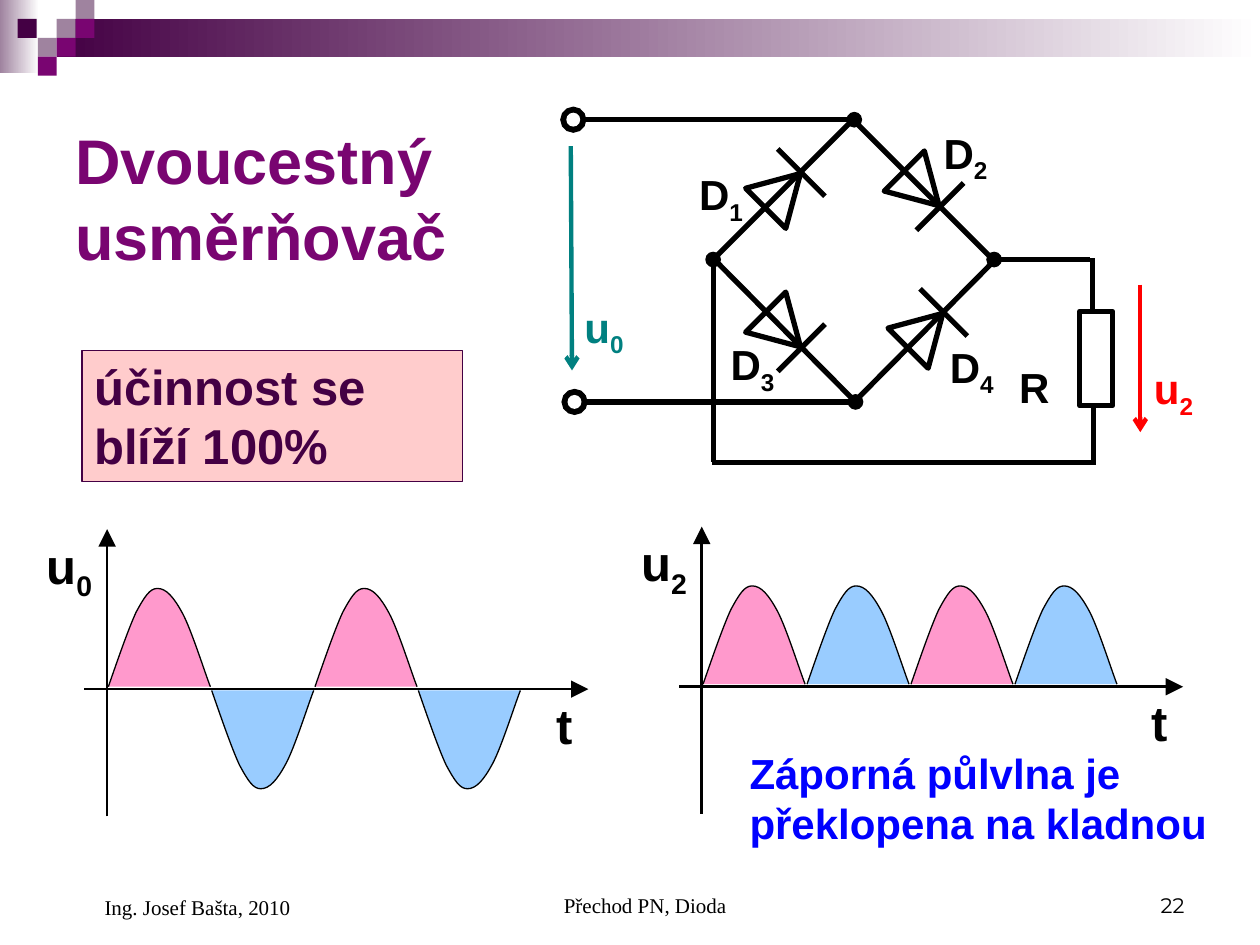
"""Build a slide that explains the full-wave bridge rectifier."""
from dataclasses import dataclass
from math import cos, radians, sin

from lxml import etree
from pptx import Presentation
from pptx.dml.color import RGBColor
from pptx.enum.shapes import MSO_CONNECTOR, MSO_SHAPE
from pptx.enum.text import MSO_ANCHOR, PP_ALIGN
from pptx.oxml.ns import qn
from pptx.util import Inches, Pt

STRAIGHT = MSO_CONNECTOR.STRAIGHT
RECTANGLE, OVAL, TRIANGLE = MSO_SHAPE.RECTANGLE, MSO_SHAPE.OVAL, MSO_SHAPE.ISOSCELES_TRIANGLE
TOP, MIDDLE, BOTTOM = MSO_ANCHOR.TOP, MSO_ANCHOR.MIDDLE, MSO_ANCHOR.BOTTOM
LEFT, CENTER, RIGHT = PP_ALIGN.LEFT, PP_ALIGN.CENTER, PP_ALIGN.RIGHT


@dataclass(frozen=True)
class Theme:
    black: str = "000000"
    white: str = "FFFFFF"
    purple: str = "790571"
    dark: str = "440044"
    mauve: str = "9F839F"
    teal: str = "008080"
    red: str = "FF0000"
    blue: str = "0000FF"
    note: str = "FFCCCC"
    positive: str = "FF99CC"
    negative: str = "99CCFF"
    title: int = 36
    large: int = 28
    body: int = 24
    footer: int = 12
    sans: str = "Arial"
    serif: str = "Times New Roman"
    number: str = "Montserrat"
    wire: float = 3
    arrow: float = 2.5
    axis: float = 1.5
    thin: float = 0.75


THEME = Theme()


@dataclass(frozen=True)
class Box:
    left: float
    top: float
    width: float
    height: float


@dataclass(frozen=True)
class Label:
    box: Box
    text: str
    subscript: str = ""
    size: int = THEME.body
    color: str = THEME.black
    font: str = THEME.sans
    bold: bool = True
    anchor: MSO_ANCHOR = TOP
    align: PP_ALIGN = LEFT
    inset: float = 0.1
    fill: str | None = None


@dataclass(frozen=True)
class Line:
    start: tuple[float, float]
    end: tuple[float, float]
    color: str = THEME.black
    width: float = THEME.wire
    head: tuple[str, str] | None = None
    tail: tuple[str, str] | None = None


@dataclass(frozen=True)
class Diode:
    left: float
    top: float
    rotation: int


@dataclass(frozen=True)
class Graph:
    origin: tuple[float, float]
    step: float
    subscript: str
    rectified: bool


DOT, RING = ("oval", "med"), ("oval", "lg")
ARROW, POINT = ("arrow", "med"), ("triangle", "lg")
TERMINALS = [(4.55, 0.95), (4.56, 3.19)]
WIRES = [
    Line(TERMINALS[0], (6.78, 0.95), head=RING, tail=DOT),
    Line((8.67, 2.05), (8.67, 2.45)),
    Line((8.68, 3.23), (8.68, 3.69)),
    Line((4.53, 1.16), (4.54, 2.94), THEME.teal, THEME.arrow, tail=ARROW),
    Line((9.05, 2.26), (9.05, 3.43), THEME.red, THEME.arrow, tail=ARROW),
    Line((6.76, 0.94), (7.89, 2.07)),
    Line((6.79, 3.18), (7.91, 2.05)),
    Line((5.66, 2.06), (6.78, 0.94)),
    Line((5.67, 2.06), (6.79, 3.19)),
    Line(TERMINALS[1], (6.79, 3.19), head=RING, tail=DOT),
    Line((7.89, 2.06), (8.65, 2.06), head=DOT),
    Line((5.66, 2.06), (5.66, 3.67), head=DOT),
    Line((5.65, 3.67), (8.68, 3.67)),
]
DIODES = [Diode(7.09, 1.3, 135), Diode(7.12, 2.43, 45),
          Diode(5.99, 1.32, 45), Diode(5.99, 2.42, 135)]
GRAPHS = [Graph((0.85, 5.47), 0.82, "0", False), Graph((5.57, 5.45), 0.825, "2", True)]
LABELS = [
    Label(Box(0.5, 0.73, 3.23, 1.67), "Dvoucestný usměrňovač", size=THEME.title,
          color=THEME.purple, anchor=MIDDLE),
    Label(Box(5.45, 1.29, 0.6, 0.56), "D", "1"),
    Label(Box(7.39, 0.96, 0.6, 0.56), "D", "2"),
    Label(Box(5.7, 2.64, 0.6, 0.56), "D", "3"),
    Label(Box(7.44, 2.66, 0.6, 0.56), "D", "4"),
    Label(Box(7.99, 2.82, 0.56, 0.5), "R"),
    Label(Box(4.54, 2.34, 0.62, 0.56), "u", "0", color=THEME.teal),
    Label(Box(9.06, 2.83, 0.74, 0.56), "u", "2", color=THEME.red),
    Label(Box(5.85, 5.88, 3.88, 0.9), "Záporná půlvlna je překlopena na kladnou", color=THEME.blue),
    Label(Box(0.65, 2.78, 3.02, 1.04), "účinnost se blíží 100%", size=THEME.large,
          color=THEME.dark, fill=THEME.note),
    Label(Box(3.42, 6.83, 3.17, 0.5), "Přechod PN, Dioda", "", THEME.footer, THEME.black,
          THEME.serif, False, BOTTOM, CENTER, 0.33),
    Label(Box(7.17, 6.83, 2.33, 0.5), "22", "", THEME.footer, THEME.black,
          THEME.number, False, BOTTOM, RIGHT),
    Label(Box(0.5, 6.83, 2.33, 0.52), "Ing. Josef Bašta, 2010", "", THEME.footer, THEME.black,
          THEME.serif, False, BOTTOM, LEFT, 0.33),
]
TILE = 0.15
TILES = [(0.45, 0.15, THEME.mauve), (0.6, 0, THEME.mauve), (0.6, 0.15, THEME.purple),
         (0.3, 0.3, THEME.mauve), (0.14, 0.15, THEME.dark), (0.45, 0.3, THEME.purple),
         (0.3, 0.45, THEME.purple)]
BANDS = [(Box(0, 0, 0.31, 0.58), THEME.mauve), (Box(0.45, 0.15, 9.55, 0.3), THEME.dark)]
HUMP = [(0, 0), (0.08, 0.23), (0.16, 0.46), (0.22, 0.59), (0.29, 0.72), (0.33, 0.78), (0.39, 0.78),
        (0.46, 0.78), (0.52, 0.71), (0.59, 0.58), (0.66, 0.45), (0.77, 0.1), (0.81, 0)]


def paint(shape, fill: str | None, outline: str | None = None, width: float = THEME.thin) -> None:
    """Set the fill and outline of a shape, and remove its shadow."""
    shape.shadow.inherit = False
    for format_, color in ((shape.fill, fill), (shape.line.fill, outline)):
        if color is None:
            format_.background()
        else:
            format_.solid()
            format_.fore_color.rgb = RGBColor.from_string(color)
    if outline:
        shape.line.width = Pt(width)


def add_box(slide, kind: MSO_SHAPE, box: Box, fill: str | None,
            outline: str | None = None, width: float = THEME.thin):
    """Draw a preset shape."""
    shape = slide.shapes.add_shape(kind, Inches(box.left), Inches(box.top),
                                   Inches(box.width), Inches(box.height))
    paint(shape, fill, outline, width)
    return shape


def add_band(slide, box: Box, color: str) -> None:
    """Draw a bar that fades to white on the right."""
    fill = add_box(slide, RECTANGLE, box, color).fill
    fill.gradient()
    fill.gradient_angle = 0
    for stop, stop_color, position in zip(fill.gradient_stops, (color, THEME.white), (0, 1)):
        stop.color.rgb = RGBColor.from_string(stop_color)
        stop.position = position


def add_line(slide, line: Line) -> None:
    """Draw a straight connector with optional ends."""
    connector = slide.shapes.add_connector(STRAIGHT, *map(Inches, line.start + line.end))
    connector.line.color.rgb = RGBColor.from_string(line.color)
    connector.line.width = Pt(line.width)
    outline = connector.line._get_or_add_ln()
    for tag, end in (("a:headEnd", line.head), ("a:tailEnd", line.tail)):
        if end:
            kind, size = end
            etree.SubElement(outline, qn(tag), type=kind, w=size, len=size)
    etree.SubElement(connector._element.spPr, qn("a:effectLst"))


def add_label(slide, label: Label) -> None:
    """Write a text with an optional subscript, framed when it has a fill."""
    box = label.box
    if label.fill:
        shape = add_box(slide, RECTANGLE, box, label.fill, label.color)
    else:
        shape = slide.shapes.add_textbox(Inches(box.left), Inches(box.top),
                                         Inches(box.width), Inches(box.height))
    frame = shape.text_frame
    frame.word_wrap = True
    frame.vertical_anchor = label.anchor
    frame.margin_left = Inches(label.inset)
    paragraph = frame.paragraphs[0]
    paragraph.alignment = label.align
    paragraph.font.name, paragraph.font.size = label.font, Pt(label.size)
    paragraph.font.bold = label.bold
    paragraph.font.color.rgb = RGBColor.from_string(label.color)
    paragraph.add_run().text = label.text
    if label.subscript:
        run = paragraph.add_run()
        run.text = label.subscript
        run._r.get_or_add_rPr().set("baseline", "-25000")


def add_diode(slide, diode: Diode) -> None:
    """Draw a diode triangle and the bar across its tip."""
    width, height, half_bar, gap = 0.45, 0.39, 0.265, 0.01
    triangle = add_box(slide, TRIANGLE, Box(diode.left, diode.top, width, height),
                       None, THEME.black, THEME.wire)
    triangle.rotation = diode.rotation
    across, along = cos(radians(diode.rotation)), sin(radians(diode.rotation))
    tip_x = diode.left + width / 2 + along * (height / 2 + gap)
    tip_y = diode.top + height / 2 - across * (height / 2 + gap)
    add_line(slide, Line((tip_x - across * half_bar, tip_y - along * half_bar),
                         (tip_x + across * half_bar, tip_y + along * half_bar)))


def add_hump(slide, left: float, base: float, sign: int, fill: str) -> None:
    """Draw one half-wave as four cubic curves."""
    points = [(Inches(left + dx), Inches(base + sign * dy)) for dx, dy in HUMP]
    builder = slide.shapes.build_freeform(*points[0])
    builder.add_line_segments(points[1:], close=False)
    shape = builder.convert_to_shape()
    segments = list(shape._element.iter(qn("a:lnTo")))
    outline = segments[0].getparent()
    for first in range(0, len(segments), 3):
        curve = etree.SubElement(outline, qn("a:cubicBezTo"))
        for segment in segments[first:first + 3]:
            curve.append(segment[0])
            outline.remove(segment)
    paint(shape, fill, THEME.black)


def add_graph(slide, graph: Graph) -> None:
    """Draw four half-waves, the axes and their names."""
    x, y = graph.origin
    for index in range(4):
        negative = index % 2 == 1
        down = negative and not graph.rectified
        add_hump(slide, x + 0.01 + index * graph.step, y + (0.01 if down else -0.02),
                 1 if down else -1, THEME.negative if negative else THEME.positive)
    for start, end in (((x - 0.18, y), (x + 3.82, y)), ((x, y + 1.01), (x, y - 1.27))):
        add_line(slide, Line(start, end, width=THEME.axis, tail=POINT))
    add_label(slide, Label(Box(x - 0.58, y - 1.27, 0.67, 0.63), "u", graph.subscript, THEME.large))
    add_label(slide, Label(Box(x + 3.47, y, 0.45, 0.57), "t", size=THEME.large))


def main() -> None:
    """Build and save the presentation."""
    presentation = Presentation()
    presentation.slide_width, presentation.slide_height = Inches(10), Inches(7.5)
    slide = presentation.slides.add_slide(presentation.slide_layouts[6])
    for box, color in BANDS:
        add_band(slide, box, color)
    for left, top, color in TILES:
        add_box(slide, RECTANGLE, Box(left, top, TILE, TILE), color)
    for wire in WIRES:
        add_line(slide, wire)
    for x, y in TERMINALS:
        add_box(slide, OVAL, Box(x - 0.05, y - 0.05, 0.1, 0.1), THEME.white, THEME.white)
    add_box(slide, RECTANGLE, Box(8.57, 2.47, 0.26, 0.75), None, THEME.black, THEME.wire)
    for diode in DIODES:
        add_diode(slide, diode)
    for graph in GRAPHS:
        add_graph(slide, graph)
    for label in LABELS:
        add_label(slide, label)
    presentation.save("out.pptx")


if __name__ == "__main__":
    main()
